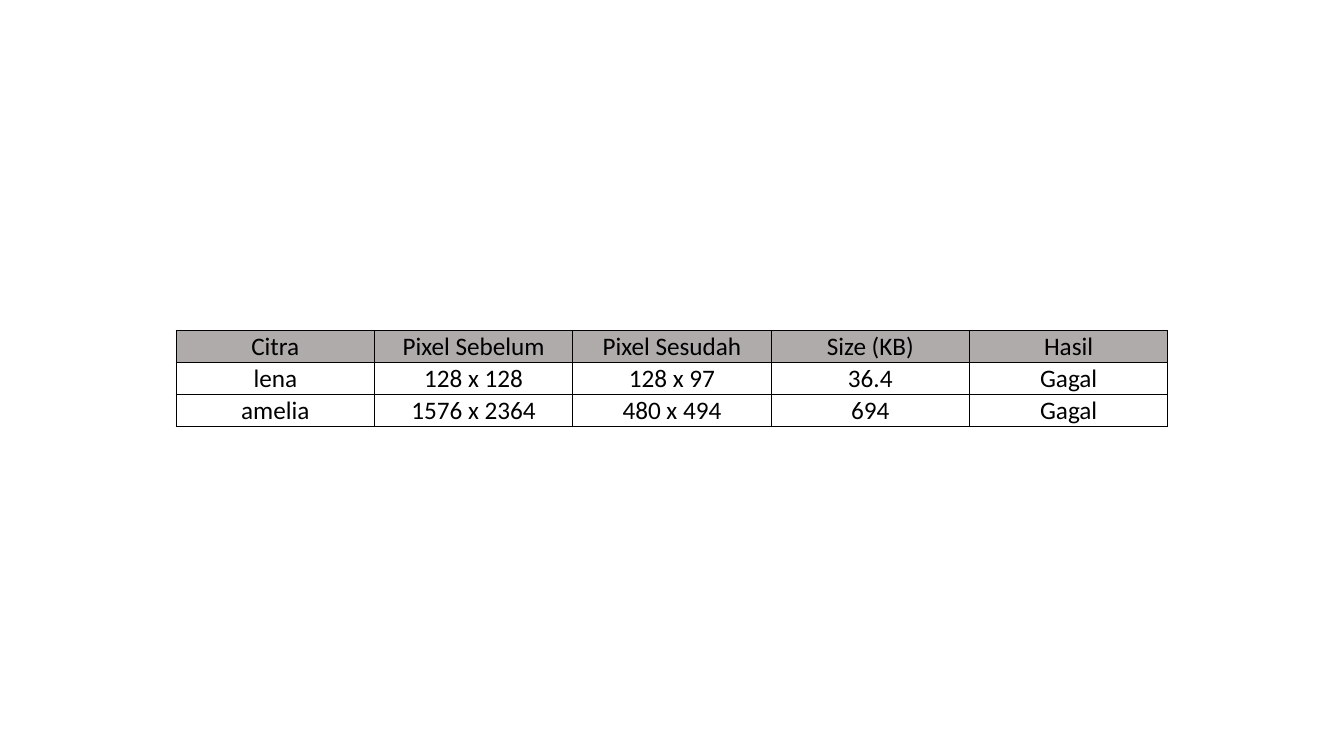
from lxml import etree
from pptx import Presentation
from pptx.dml.color import RGBColor
from pptx.enum.text import MSO_ANCHOR, PP_ALIGN
from pptx.oxml.ns import qn
from pptx.util import Pt

CENTER = PP_ALIGN.CENTER
MIDDLE = MSO_ANCHOR.MIDDLE

# Content
ROWS = [
    ("Citra", "Pixel Sebelum", "Pixel Sesudah", "Size (KB)", "Hasil"),
    ("lena", "128 x 128", "128 x 97", "36.4", "Gagal"),
    ("amelia", "1576 x 2364", "480 x 494", "694", "Gagal"),
]

# Style and layout, in points
COLORS = {"header": "AFABAB", "text": "000000", "border": "000000"}
FONT, FONT_SIZE = "Calibri", 18
LEFT, TOP = 125.8, 236.2
COLUMN_WIDTH, ROW_HEIGHT = 141.7, 22.6
INSET = 0.7
OUTER_LINE, INNER_LINE = 1, 0.5


def add_borders(cell, widths):
    """Draw the cell's sides; widths maps side letters to points."""
    properties = cell._tc.get_or_add_tcPr()
    for side, width in widths.items():
        line = etree.SubElement(properties, qn(f"a:ln{side}"), w=str(Pt(width)))
        fill = etree.SubElement(line, qn("a:solidFill"))
        etree.SubElement(fill, qn("a:srgbClr"), val=COLORS["border"])


def write_text(cell, text):
    cell.margin_left = cell.margin_right = cell.margin_top = Pt(INSET)
    cell.margin_bottom = Pt(0)
    cell.vertical_anchor = MIDDLE
    cell.text_frame.text = text
    para = cell.text_frame.paragraphs[0]
    para.alignment = CENTER
    font = para.runs[0].font
    font.name, font.size, font.bold = FONT, Pt(FONT_SIZE), False
    font.color.rgb = RGBColor.from_string(COLORS["text"])


# Page
deck = Presentation()
deck.slide_width, deck.slide_height = Pt(960), Pt(540)
page = deck.slides.add_slide(deck.slide_layouts[6])

# Table
column_count = len(ROWS[0])
table = page.shapes.add_table(
    len(ROWS), column_count, Pt(LEFT), Pt(TOP),
    Pt(COLUMN_WIDTH * column_count), Pt(ROW_HEIGHT * len(ROWS)),
).table
table.horz_banding = False
for column in table.columns:
    column.width = Pt(COLUMN_WIDTH)
for row in table.rows:
    row.height = Pt(ROW_HEIGHT)

# Cells: heavier line on the left, right and top edges of the table
for r, texts in enumerate(ROWS):
    for c, text in enumerate(texts):
        cell = table.cell(r, c)
        write_text(cell, text)
        add_borders(cell, {
            "L": OUTER_LINE if c == 0 else INNER_LINE,
            "R": OUTER_LINE if c == column_count - 1 else INNER_LINE,
            "T": OUTER_LINE if r == 0 else INNER_LINE,
            "B": INNER_LINE,
        })
        if r == 0:
            cell.fill.solid()
            cell.fill.fore_color.rgb = RGBColor.from_string(COLORS["header"])
        else:
            cell.fill.background()

deck.save("out.pptx")
